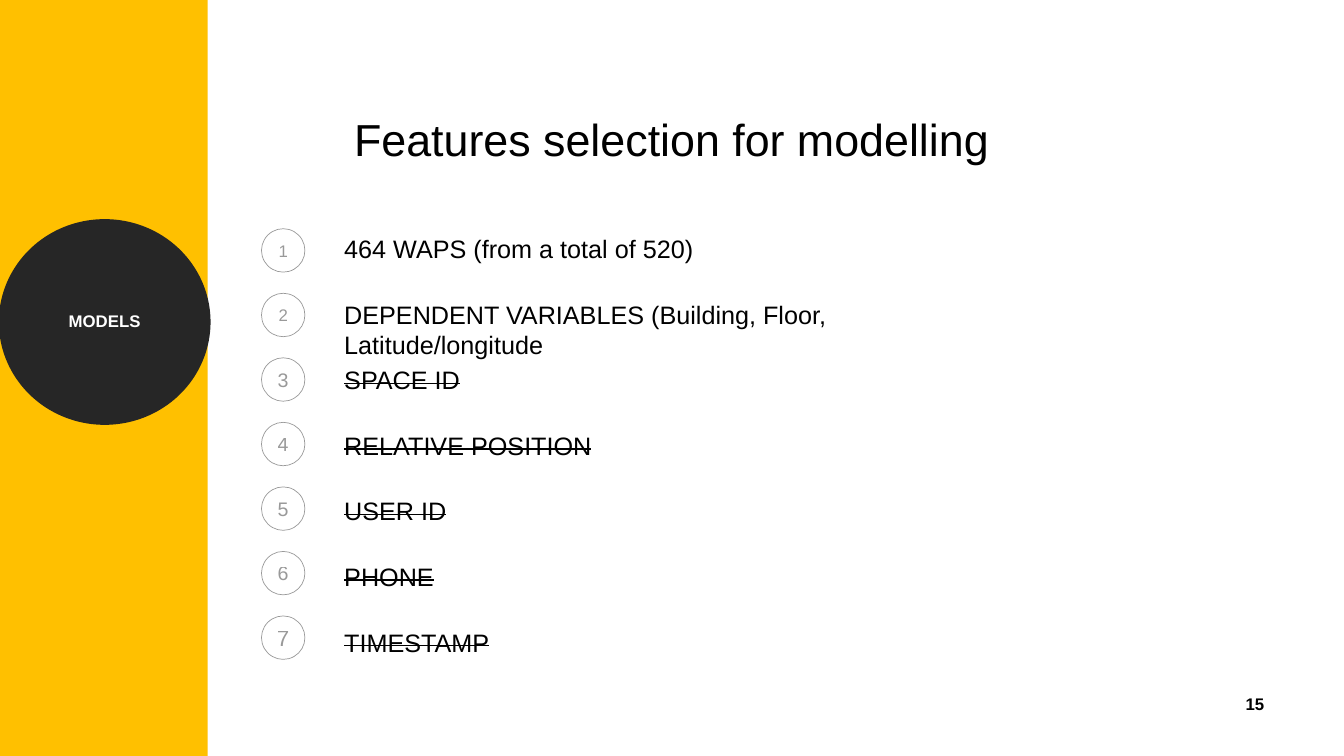
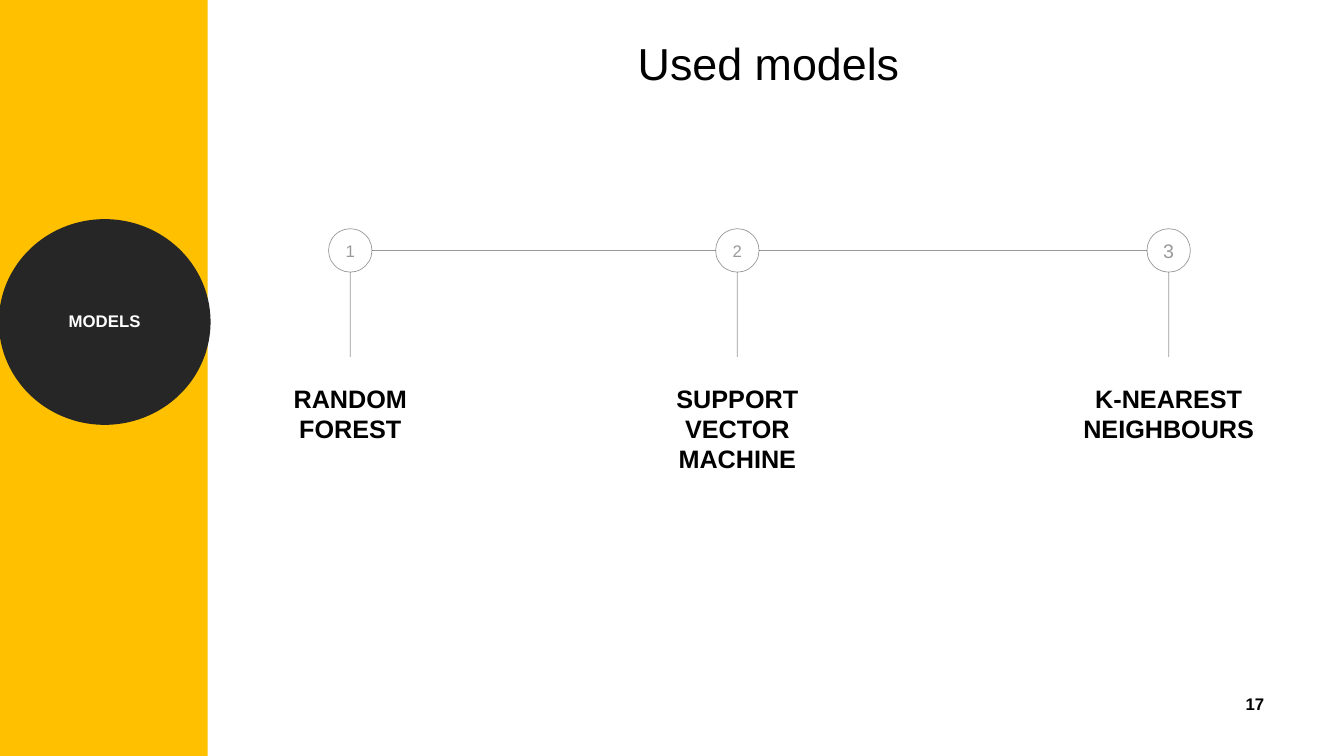
from itertools import pairwise

from lxml import etree
from pptx import Presentation
from pptx.dml.color import RGBColor
from pptx.enum.shapes import MSO_CONNECTOR, MSO_SHAPE
from pptx.enum.text import MSO_ANCHOR, MSO_AUTO_SIZE, PP_ALIGN
from pptx.oxml.ns import qn
from pptx.util import Pt

STRAIGHT = MSO_CONNECTOR.STRAIGHT
RECTANGLE, OVAL = MSO_SHAPE.RECTANGLE, MSO_SHAPE.OVAL
LEFT, CENTER = PP_ALIGN.LEFT, PP_ALIGN.CENTER
TOP, MIDDLE = MSO_ANCHOR.TOP, MSO_ANCHOR.MIDDLE
GROW, FIXED = MSO_AUTO_SIZE.SHAPE_TO_FIT_TEXT, MSO_AUTO_SIZE.NONE

SLIDE_WIDTH, SLIDE_HEIGHT = 960, 540
FONT = "Arial"
BLACK, WHITE, YELLOW, CHARCOAL = "000000", "FFFFFF", "FFC000", "262626"
FAINT = 40
CIRCLE = 31
TITLE_LAYOUT = 5

FEATURES = [
    ("464 WAPS (from a total of 520)", 12, False, 322),
    ("DEPENDENT VARIABLES (Building, Floor, Latitude/longitude", 12, False, 494),
    ("SPACE ID", 14, True, 322),
    ("RELATIVE POSITION", 14, True, 322),
    ("USER ID", 14, True, 322),
    ("PHONE", 14, True, 322),
    ("TIMESTAMP", 16, True, 322),
]
MODELS = [
    ("RANDOM FOREST", 12, 250.2),
    ("SUPPORT VECTOR MACHINE", 12, 526.7),
    ("K-NEAREST NEIGHBOURS", 14, 834.8),
]


def set_color(color, value, alpha=None):
    """Set a hex colour with an optional opacity in percent."""
    color.rgb = RGBColor.from_string(value)
    if alpha is not None:
        for element in color._xFill.iter(qn("a:srgbClr")):
            etree.SubElement(element, qn("a:alpha"), val=str(alpha * 1000))


def set_line(line, value, width, alpha=None):
    """Give an outline or connector its colour and width."""
    line.fill.solid()
    set_color(line.fill.fore_color, value, alpha)
    line.width = Pt(width)


def write_text(shape, text, size, color=BLACK, alpha=None, align=LEFT, anchor=TOP,
               inset=(7.2, 3.6), wrap=True, auto_size=FIXED, bold=False,
               strike=False, paragraph_format=None):
    """Write one formatted paragraph into a shape."""
    frame = shape.text_frame
    frame.text = text
    horizontal, vertical = map(Pt, inset)
    frame_format = {
        "word_wrap": wrap, "auto_size": auto_size, "vertical_anchor": anchor,
        "margin_left": horizontal, "margin_right": horizontal,
        "margin_top": vertical, "margin_bottom": vertical,
    }
    for name, value in frame_format.items():
        setattr(frame, name, value)
    paragraph = frame.paragraphs[0]
    for name, value in {"alignment": align, **(paragraph_format or {})}.items():
        setattr(paragraph, name, value)
    font = paragraph.runs[0].font
    for name, value in {"name": FONT, "size": Pt(size), "bold": bold}.items():
        setattr(font, name, value)
    font.fill.solid()
    set_color(font.fill.fore_color, color, alpha)
    if strike:
        font._element.set("strike", "sngStrike")


def add_text(slide, box, text, size, **text_format):
    """Add a text box that grows with its text."""
    shape = slide.shapes.add_textbox(*map(Pt, box))
    write_text(shape, text, size, auto_size=GROW, **text_format)


def add_shape(slide, kind, box, fill=None):
    """Add a preset shape without shadow or outline."""
    shape = slide.shapes.add_shape(kind, *map(Pt, box))
    shape.shadow.inherit = False
    shape.line.fill.background()
    if fill:
        shape.fill.solid()
        set_color(shape.fill.fore_color, fill)
    else:
        shape.fill.background()
    return shape


def add_line(slide, start, end):
    """Draw a faint straight connector between two points."""
    connector = slide.shapes.add_connector(STRAIGHT, *map(Pt, (*start, *end)))
    set_line(connector.line, BLACK, 0.5, FAINT)
    etree.SubElement(connector._element.spPr, qn("a:effectLst"))


def add_number(slide, left, top, number, size):
    """Add a faint outlined circle holding a number."""
    circle = add_shape(slide, OVAL, (left, top, CIRCLE, CIRCLE))
    set_line(circle.line, BLACK, 0.5, FAINT)
    write_text(circle, str(number), size, alpha=FAINT, align=CENTER,
               anchor=MIDDLE, inset=(0, 0))


def add_sidebar(slide, box):
    """Draw the yellow side band with its section badge."""
    left, top, width, height = box
    add_shape(slide, RECTANGLE, box, YELLOW)
    badge_width, badge_height = 137.5, 133.2
    badge_left = left + (width - badge_width) / 2 + 0.6
    badge = add_shape(slide, OVAL, (badge_left, top + 163.4, badge_width, badge_height), CHARCOAL)
    set_line(badge.line, CHARCOAL, 13.75)
    write_text(badge, "MODELS", 12, WHITE, align=CENTER, anchor=MIDDLE, bold=True,
               paragraph_format={"line_spacing": 0.9, "space_after": Pt(6)})


def add_base_slide(presentation, title, title_box, page):
    """Add a slide with the shared sidebar, title and page number."""
    slide = presentation.slides.add_slide(presentation.slide_layouts[TITLE_LAYOUT])
    add_sidebar(slide, (0, 0, 148.3, SLIDE_HEIGHT))
    placeholder = slide.shapes.title
    for name, value in zip(("left", "top", "width", "height"), title_box):
        setattr(placeholder, name, Pt(value))
    write_text(placeholder, title, 32, align=CENTER, anchor=MIDDLE, inset=(0, 0),
               paragraph_format={"line_spacing": 0.9})
    add_text(slide, (882.7, 491.8, 28.8, 21.6), str(page), 12, bold=True, wrap=False)
    return slide


def add_feature_list(slide, left, top):
    """List the numbered features, striking out the dropped ones."""
    circle_pitch, text_pitch = 46.1, 46.8
    for index, (text, size, dropped, width) in enumerate(FEATURES):
        add_number(slide, left, top + index * circle_pitch, index + 1, size)
        add_text(slide, (left + 52, top + index * text_pitch, width, 29), text, 18,
                 strike=dropped)


def add_model_timeline(slide, top):
    """Draw the linked model numbers with stems and labels."""
    radius, label_width = CIRCLE / 2, 165
    stem_top, stem_bottom = top + CIRCLE, top + 91.5
    for number, (text, size, center) in enumerate(MODELS, 1):
        add_number(slide, center - radius, top, number, size)
        add_line(slide, (center, stem_bottom), (center, stem_top))
        add_text(slide, (center - label_width / 2, top + 106.6, label_width, 51),
                 text, 18, align=CENTER, bold=True)
    for (*_, start), (*_, end) in pairwise(MODELS):
        add_line(slide, (start + radius, top + radius), (end - radius, top + radius))


def main():
    """Build and save the presentation."""
    presentation = Presentation()
    presentation.slide_width, presentation.slide_height = Pt(SLIDE_WIDTH), Pt(SLIDE_HEIGHT)
    features = add_base_slide(presentation, "Features selection for modelling",
                              (141, 82, 678, 39), 15)
    add_feature_list(features, 186.8, 163.4)
    models = add_base_slide(presentation, "Used models", (148.3, 27.4, 801.4, 39), 17)
    add_model_timeline(models, 163.4)
    presentation.save("out.pptx")


if __name__ == "__main__":
    main()
